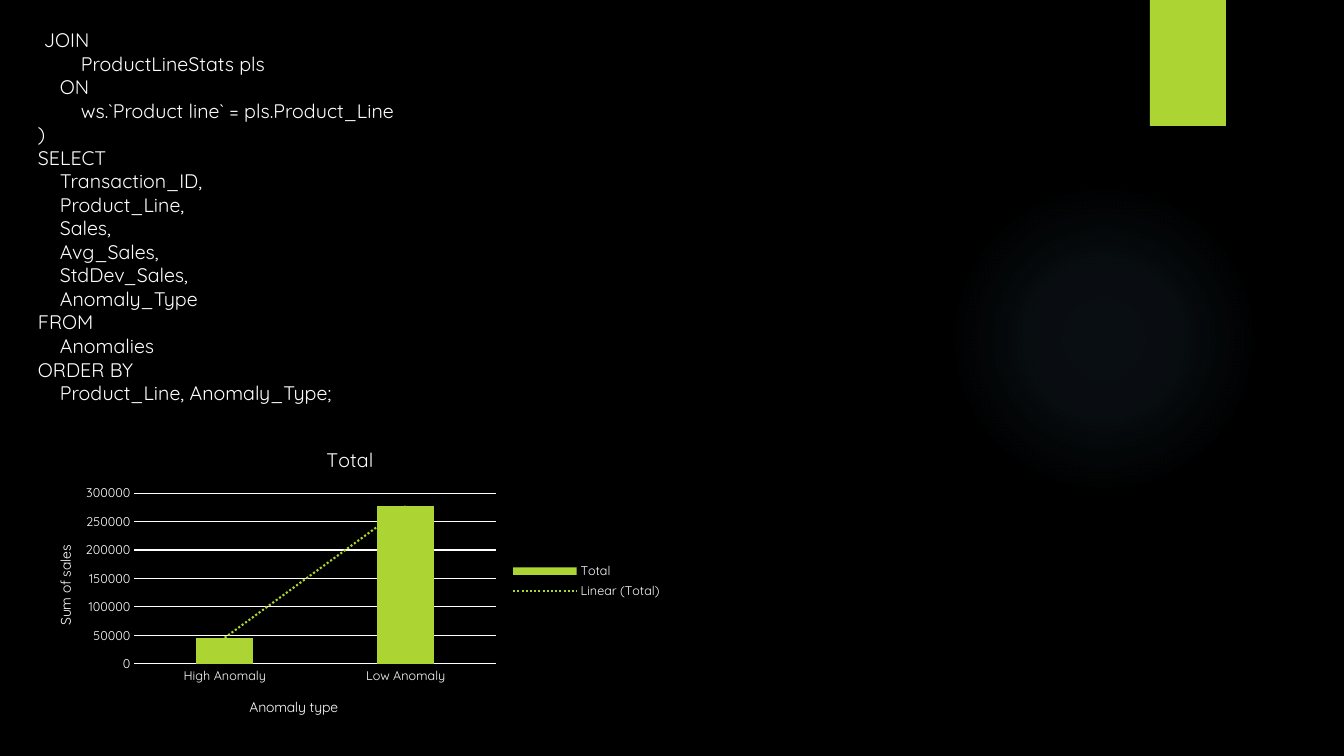
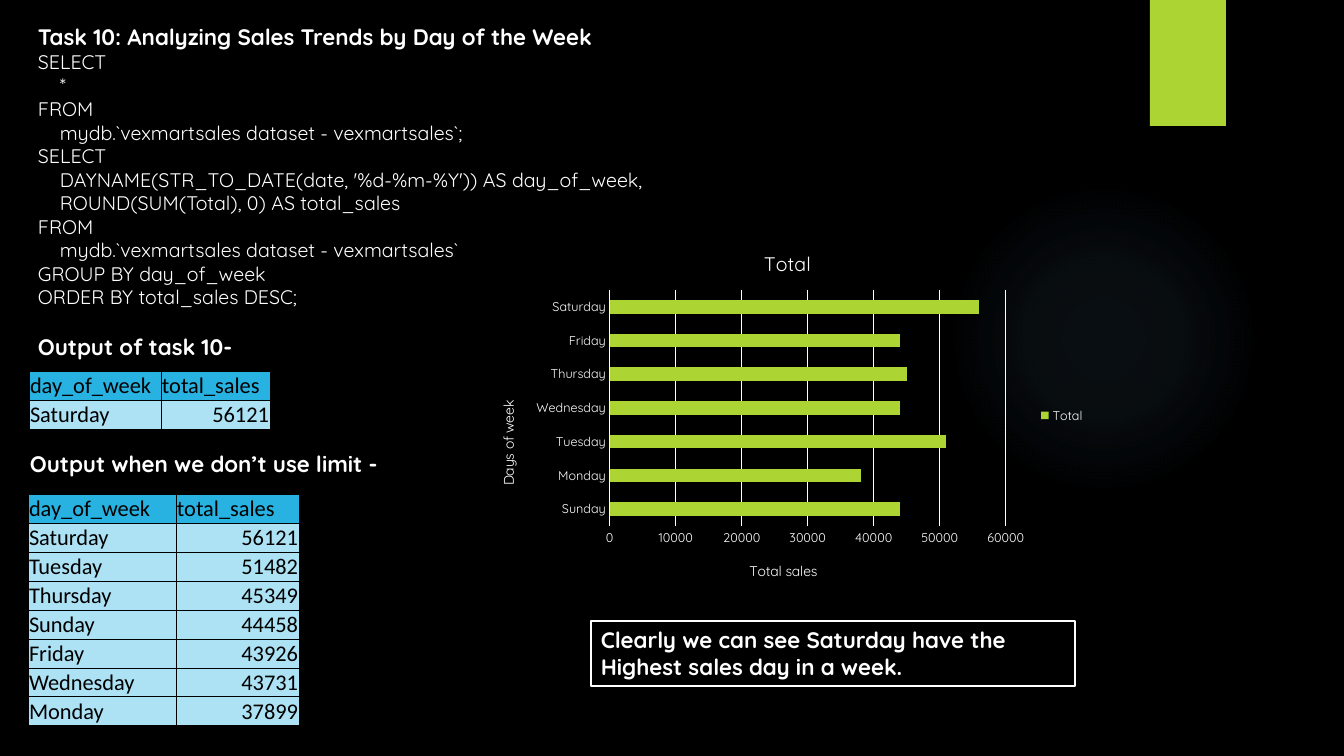
"""Build two dark slides with sales queries, result tables and charts."""
from lxml.etree import SubElement
from pptx import Presentation
from pptx.chart.data import CategoryChartData as Data
from pptx.dml.color import RGBColor
from pptx.enum.chart import XL_CHART_TYPE as Kind, XL_LEGEND_POSITION as Side, XL_TICK_MARK as Tick
from pptx.enum.shapes import MSO_SHAPE as Form
from pptx.enum.text import MSO_ANCHOR as Anchor, PP_ALIGN as Align
from pptx.oxml import parse_xml
from pptx.oxml.ns import nsdecls, qn
from pptx.util import Emu, Pt

SCALE = 12192000 / 1344
FONT = "Quicksand"
WHITE, BLACK, LIME = "FFFFFF", "000000", "ACD433"
HEAD, BODY = "27B2E1", "ACE2F4"
hue = RGBColor.from_string


def px(*sizes):
    """Turn pixel lengths into EMU."""
    return [Emu(round(n * SCALE)) for n in sizes]


def write(sld, area, rows, heads=()):
    """Add a text box of (indent, text) rows; those in heads are bold."""
    box = sld.shapes.add_textbox(*px(*area))
    frame = box.text_frame
    frame.word_wrap = True
    for i, (pad, text) in enumerate(rows):
        para = frame.add_paragraph() if i else frame.paragraphs[0]
        para.text = text
        para._p.get_or_add_pPr().set("marL", str(px(pad)[0]))
        font = para.runs[0].font
        font.name, font.bold = FONT, i in heads
        font.size = Pt(16 if i in heads else 14)
        font.color.rgb = hue(WHITE)
    return box


prs = Presentation()
prs.slide_width, prs.slide_height = px(1344, 756)
base = prs.slide_layouts[6]
back = prs.slide_master.background.fill
back.solid()
back.fore_color.rgb = hue(BLACK)
join, week = [prs.slides.add_slide(base) for _ in range(2)]

glow = join.shapes.add_shape(Form.OVAL, *px(949, 184, 310, 310))
tab = join.shapes.add_shape(Form.RECTANGLE, *px(1150, 0, 76, 126))
for shape in (glow, tab):
    shape.shadow.inherit = False
    shape.line.fill.background()
    base.shapes._spTree.append(shape._element)
tab.fill.solid()
tab.fill.fore_color.rgb = hue(LIME)
glow.fill.background()
stops = "".join(
    f'<a:gs pos="{at}000"><a:srgbClr val="7AC4F0"><a:alpha val="{dim}000"/></a:srgbClr></a:gs>'
    for at, dim in ((0, 7), (36, 6), (69, 0)))
blank = glow._element.spPr.find(qn("a:noFill"))
blank.getparent().replace(blank, parse_xml(
    f'<a:gradFill {nsdecls("a")}><a:gsLst>{stops}</a:gsLst><a:path path="circle">'
    '<a:fillToRect l="50000" t="50000" r="50000" b="50000"/></a:path></a:gradFill>'))

write(join, (28, 23, 1284, 390), [
    (6, "JOIN"),
    (43, "ProductLineStats pls"),
    (22, "ON"),
    (43, "ws.`Product line` = pls.Product_Line"),
    (0, ")"),
    (0, "SELECT"),
    (22, "Transaction_ID,"),
    (22, "Product_Line,"),
    (22, "Sales,"),
    (22, "Avg_Sales,"),
    (22, "StdDev_Sales,"),
    (22, "Anomaly_Type"),
    (0, "FROM"),
    (22, "Anomalies"),
    (0, "ORDER BY"),
    (22, "Product_Line, Anomaly_Type;"),
])
query = write(week, (28, 18, 1286, 397), [
    (0, "Task 10: Analyzing Sales Trends by Day of the Week"),
    (0, "SELECT"),
    (22, "*"),
    (0, "FROM"),
    (22, "mydb.`vexmartsales dataset - vexmartsales`;"),
    (0, "SELECT"),
    (22, "DAYNAME(STR_TO_DATE(date, '%d-%m-%Y')) AS day_of_week,"),
    (22, "ROUND(SUM(Total), 0) AS total_sales"),
    (0, "FROM"),
    (22, "mydb.`vexmartsales dataset - vexmartsales`"),
    (0, "GROUP BY day_of_week"),
    (0, "ORDER BY total_sales DESC;"),
    (0, "Output of task 10-"),
], heads=(0, 12))
query.text_frame.paragraphs[-1].space_before = Pt(17.5)
write(week, (20, 445, 428, 37), [(0, "Output when we don’t use limit -")], heads=(0,))
note = write(week, (591, 621, 484, 65), [
    (0, "Clearly we can see Saturday have the Highest sales day in a week."),
], heads=(0,))
note.line.color.rgb = hue(WHITE)
note.line.width = Pt(1.5)

sales = [
    ("day_of_week", "total_sales"),
    ("Saturday", "56121"),
    ("Tuesday", "51482"),
    ("Thursday", "45349"),
    ("Sunday", "44458"),
    ("Friday", "43926"),
    ("Wednesday", "43731"),
    ("Monday", "37899"),
]
for left, top, wides, rows in (
    (29, 371, (132, 109), sales[:2]),
    (28, 494, (148, 123), sales),
):
    area = px(left, top, sum(wides), 29 * len(rows))
    grid = week.shapes.add_table(len(rows), 2, *area).table
    grid.first_row = grid.horz_banding = False
    for col, wide in zip(grid.columns, px(*wides)):
        col.width = wide
    for r, row in enumerate(rows):
        for c, text in enumerate(row):
            cell = grid.cell(r, c)
            cell.margin_left, cell.margin_right, cell.margin_top, cell.margin_bottom = px(1, 1, 1, 0)
            cell.vertical_anchor = Anchor.BOTTOM
            props = cell._tc.get_or_add_tcPr()
            for edge in "LRTB":
                line = SubElement(props, qn(f"a:ln{edge}"), w=str(Pt(0.5)))
                SubElement(SubElement(line, qn("a:solidFill")), qn("a:srgbClr"), val=BLACK)
            cell.fill.solid()
            cell.fill.fore_color.rgb = hue(BODY if r else HEAD)
            cell.text_frame.text = text
            para = cell.text_frame.paragraphs[0]
            para.alignment = Align.RIGHT if r and c else Align.LEFT
            font = para.runs[0].font
            font.name, font.size = "Calibri", Pt(16)
            font.color.rgb = hue(BLACK)

days = ["Sunday", "Monday", "Tuesday", "Wednesday", "Thursday", "Friday", "Saturday"]
totals = [44000, 38000, 51000, 44000, 45000, 44000, 56000]
charts = []
for sld, kind, area, plot, cats, vals, names, spots, step, gap, lap in (
    (join, Kind.COLUMN_CLUSTERED, (28, 430, 644, 302), (134, 493, 362, 171),
     ["High Anomaly", "Low Anomaly"], [46000, 277000],
     ("Anomaly type", "Sum of sales"), ((247, 695), (53, 543)), 50000, 219, -27),
    (week, Kind.BAR_STACKED, (480, 233, 615, 365), (610, 290, 396, 236),
     days, totals,
     ("Days of week", "Total sales"), ((496, 398), (747, 559)), 10000, 150, 100),
):
    data = Data()
    data.categories = cats
    data.add_series("Total", vals)
    chart = sld.shapes.add_chart(kind, *px(*area), data).chart
    charts.append(chart)
    chart.font.name, chart.font.size = FONT, Pt(10)
    chart.font.color.rgb = hue(WHITE)
    chart.has_legend = True
    chart.legend.position = Side.RIGHT
    chart.legend.include_in_layout = False
    bars = chart.plots[0]
    bars.vary_by_categories = False
    bars.gap_width, bars.overlap = gap, lap
    fill = bars.series[0].format.fill
    fill.solid()
    fill.fore_color.rgb = hue(LIME)

    x, y = chart.category_axis, chart.value_axis
    y.minimum_scale, y.maximum_scale, y.major_unit = 0, 6 * step, step
    y.format.line.fill.background()
    for line in (x.format.line, y.major_gridlines.format.line):
        line.color.rgb = hue(WHITE)
        line.width = Pt(0.75)
    for axis in (x, y):
        axis.major_tick_mark = axis.minor_tick_mark = Tick.NONE
    for part, text, size in ((chart, "Total", 14), (x, names[0], 10), (y, names[1], 10)):
        part.has_title = True
        frame = (chart.chart_title if part is chart else part.axis_title).text_frame
        frame.text = text
        font = frame.paragraphs[0].runs[0].font
        font.name, font.size, font.bold = FONT, Pt(size), False
        font.color.rgb = hue(WHITE)
    for part in (chart.legend, x.tick_labels, y.tick_labels):
        part.font.name, part.font.size = FONT, Pt(9)
        part.font.color.rgb = hue(WHITE)

    region = chart._chartSpace.chart.plotArea
    for part, spot in ((region, plot), (x.axis_title._element, spots[0]), (y.axis_title._element, spots[1])):
        for old in part.findall(qn("c:layout")):
            part.remove(old)
        sides = [(spot[0] - area[0]) / area[2], (spot[1] - area[1]) / area[3]]
        sides += [n / full for n, full in zip(spot[2:], area[2:])]
        inner = '<c:layoutTarget val="inner"/>' if part is region else ""
        modes = '<c:xMode val="edge"/><c:yMode val="edge"/>'
        marks = "".join(f'<c:{key} val="{n:.3f}"/>' for key, n in zip("xywh", sides))
        frame = parse_xml(f'<c:layout {nsdecls("c")}><c:manualLayout>{inner}{modes}{marks}'
                          '</c:manualLayout></c:layout>')
        part.insert(0 if part is region else 1, frame)

bars = charts[0].plots[0].series[0]._element
bars.find(qn("c:cat")).addprevious(parse_xml(
    f'<c:trendline {nsdecls("c", "a")}><c:spPr><a:ln w="{Pt(1.5)}"><a:solidFill>'
    f'<a:srgbClr val="{LIME}"/></a:solidFill><a:prstDash val="sysDot"/></a:ln></c:spPr>'
    '<c:trendlineType val="linear"/><c:dispRSqr val="0"/><c:dispEq val="0"/></c:trendline>'))

prs.save("out.pptx")
